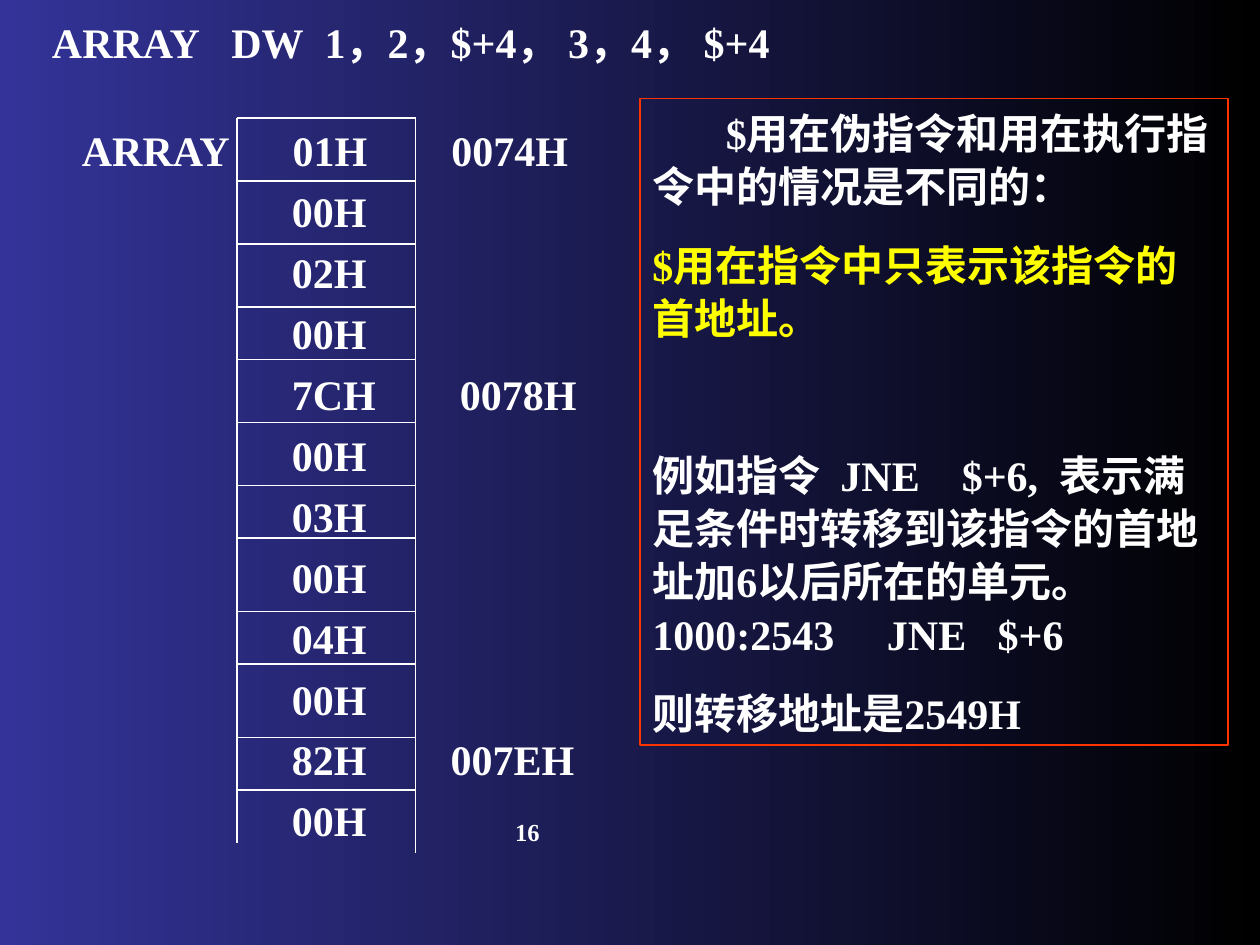
from itertools import accumulate, chain, zip_longest
from pptx import Presentation
from pptx.dml.color import RGBColor
from pptx.enum.lang import MSO_LANGUAGE_ID
from pptx.enum.shapes import MSO_CONNECTOR, MSO_SHAPE
from pptx.enum.text import MSO_ANCHOR, MSO_AUTO_SIZE, PP_ALIGN
from pptx.oxml.ns import qn
from pptx.util import Pt
from lxml.etree import SubElement

HUES = {"white": "FFFFFF", "yellow": "FFFF00", "red": "FF3300",
        "blue": "333399", "black": "000000"}
SPACE = 6


def write(frame, text, size=24, hue="white", align=PP_ALIGN.LEFT,
          gaps=(), first=0, before=0, lead=1):
    para = frame.paragraphs[0]
    if para.runs:
        para = frame.add_paragraph()
    props = para._p.get_or_add_pPr()
    props.set("marL", "0")
    props.set("indent", str(Pt(first)))
    SubElement(props, qn("a:buNone"))
    para.alignment = align
    para.line_spacing = lead
    para.space_before = Pt(before)
    words = [(word, 0) for word in text.split("|")]
    wide = [(" ", gap - SPACE) for gap in gaps]
    for part in chain.from_iterable(zip_longest(words, wide)):
        if part is None:
            continue
        run = para.add_run()
        run.text = part[0]
        font = run.font
        font.name, font.size, font.bold = "Times New Roman", Pt(size), True
        font.language_id = MSO_LANGUAGE_ID.SIMPLIFIED_CHINESE
        font.color.rgb = RGBColor.from_string(HUES[hue])
        if part[1]:
            run._r.get_or_add_rPr().set("spc", str(part[1] * 100))


def rule(x1, y1, x2, y2):
    line = slide.shapes.add_connector(
        MSO_CONNECTOR.STRAIGHT, Pt(x1), Pt(y1), Pt(x2), Pt(y2))
    line.line.color.rgb = RGBColor.from_string(HUES["white"])
    line.line.width = Pt(0.75)
    SubElement(line._element.spPr, qn("a:effectLst"))


deck = Presentation()
deck.slide_width, deck.slide_height = Pt(720), Pt(540)
slide = deck.slides.add_slide(deck.slide_layouts[1])

back = slide.background.fill
back.gradient()
back.gradient_angle = 0
for stop, hue, place in zip(back.gradient_stops, ("blue", "black"), (0, 1)):
    stop.color.rgb = RGBColor.from_string(HUES[hue])
    stop.position = place

title, body = slide.shapes.title, slide.placeholders[1]
note = slide.shapes.add_shape(
    MSO_SHAPE.RECTANGLE, Pt(365.7), Pt(56.3), Pt(336), Pt(369.4))
page = slide.shapes.add_textbox(Pt(165.6), Pt(457.2), Pt(149.8), Pt(36))
for shape, (left, top, width, height) in (
        (title, (22.5, 0, 478, 76.3)), (body, (39.6, 67.7, 300.2, 420.5))):
    shape.left, shape.top = Pt(left), Pt(top)
    shape.width, shape.height = Pt(width), Pt(height)
for shape in (title, body, note, page):
    frame = shape.text_frame
    frame.word_wrap = True
    frame.auto_size = MSO_AUTO_SIZE.NONE
    frame.vertical_anchor = MSO_ANCHOR.TOP
page.text_frame.vertical_anchor = MSO_ANCHOR.MIDDLE

write(title.text_frame, "ARRAY|DW|1，2，$+4， 3，4， $+4",
      gaps=(18, 12), lead=1.2)
write(page.text_frame, "16", size=14, align=PP_ALIGN.RIGHT)

write(body.text_frame, "ARRAY|01H|0074H", gaps=(36, 48))
for cell in ("00H", "02H", "00H", "7CH|0078H", "00H", "03H",
             "00H", "04H", "00H", "82H|007EH", "00H"):
    write(body.text_frame, cell, gaps=(48,) * cell.count("|"),
          first=120, before=6)

left, right, top = 135.4, 237.5, 67.5
rule(left, top, left, 481.5)
rule(right, top, right, 487.5)
for y in accumulate((top, 36, 36, 36, 30, 36, 36, 30, 42, 30, 42, 30)):
    rule(left, y, right, y)

note.shadow.inherit = False
note.fill.background()
note.line.color.rgb = RGBColor.from_string(HUES["red"])
note.line.width = Pt(0.75)
for text, style in (
        ("$用在伪指令和用在执行指令中的情况是不同的：", dict(first=42)),
        ("$用在指令中只表示该指令的首地址。", dict(hue="yellow", before=15)),
        ("例如指令|JNE|$+6,|表示满足条件时转移到该指令的首地址加6以后所在的单元。"
         "1000:2543|JNE|$+6",
         dict(before=60, gaps=(12, 24, 12, 30, 18))),
        ("则转移地址是2549H", dict(before=15))):
    write(note.text_frame, text, lead=1.05, **style)

deck.save("out.pptx")
